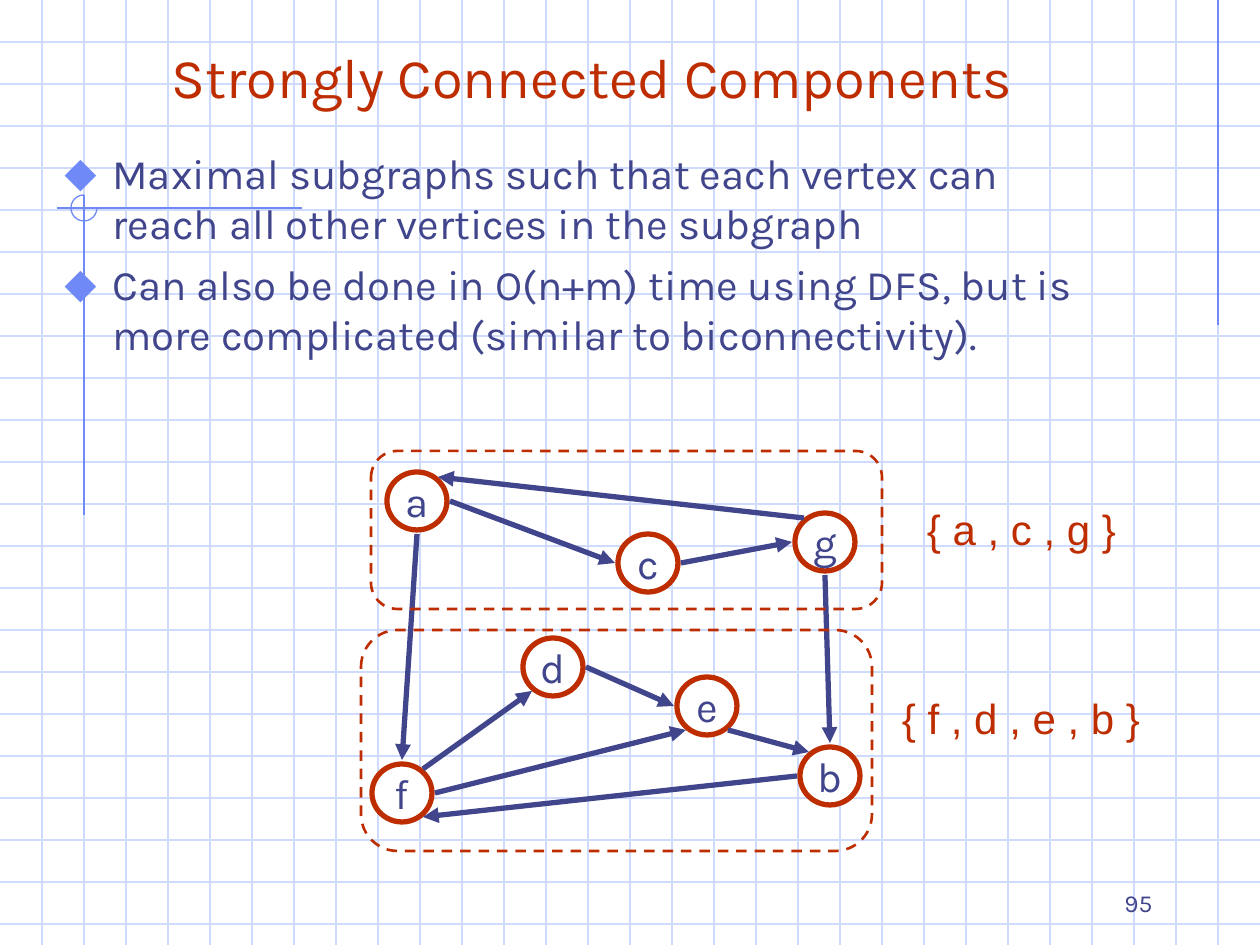
from pptx import Presentation
from pptx.dml.color import RGBColor
from pptx.enum.dml import MSO_LINE
from pptx.enum.shapes import MSO_CONNECTOR, MSO_SHAPE
from pptx.enum.text import MSO_ANCHOR, MSO_AUTO_SIZE, PP_ALIGN
from pptx.oxml.ns import qn
from pptx.util import Pt
from lxml.etree import SubElement

PX = 914400 // 126
WIDTH, HEIGHT, GRID_STEP = 1260, 945, 42
INK, RED, BLUE, PALE, WHITE = "40458C", "BE2D00", "6F89F7", "CFDBFD", "FFFFFF"

TITLE = "Strongly Connected Components"
BULLETS = [
    "Maximal subgraphs such that each vertex can reach all other vertices in the subgraph",
    "Can also be done in O(n+m) time using DFS, but is more complicated "
    "(similar to biconnectivity).",
]
COMPONENTS = [  # label, label box, dashed frame
    ("{ a , c , g }", (927, 504, 194, 50), (371, 451, 511, 158)),
    ("{ f , d , e , b }", (902, 693, 244, 50), (361, 630, 511, 221)),
]
VERTEX_SIZE = (60, 58)
VERTICES = {  # centres
    "a": (417, 501), "d": (553, 667), "c": (648, 563), "b": (830, 776),
    "e": (707, 706), "f": (402, 793), "g": (825, 542),
}
SITES = {  # where an edge meets a vertex, from its centre
    "N": (0, -33), "S": (0, 33), "E": (33, 0), "W": (-33, 0),
    "NE": (21, -24), "SE": (21, 24), "NW": (-21, -24), "SW": (-21, 24),
}
EDGES = [
    ("a", "S", "f", "N"), ("a", "E", "c", "W"), ("g", "NW", "a", "NE"),
    ("c", "E", "g", "W"), ("g", "S", "b", "N"), ("d", "E", "e", "W"),
    ("e", "SE", "b", "NW"), ("f", "NE", "d", "SW"), ("f", "E", "e", "SW"),
    ("b", "W", "f", "SE"),
]
ORNAMENT_LINES = [
    ((1218, 0), (1218, 325)), ((302, 208), (57, 208)), ((84, 195), (84, 515)),
]


def color(value):
    return RGBColor.from_string(value)


def emu(lengths):
    return [length * PX for length in lengths]


def add_line(page, start, end, line_color, width, arrow=False):
    line = page.shapes.add_connector(MSO_CONNECTOR.STRAIGHT, *emu(start + end))
    line.line.color.rgb = color(line_color)
    line.line.width = Pt(width)
    properties = line.element.spPr
    if arrow:
        SubElement(properties.find(qn("a:ln")), qn("a:tailEnd"), type="triangle")
    SubElement(properties, qn("a:effectLst"))


def add_outline(page, kind, place, line_color, width, fill=None):
    shape = page.shapes.add_shape(kind, *emu(place))
    shape.shadow.inherit = False
    shape.line.color.rgb = color(line_color)
    shape.line.width = Pt(width)
    if fill:
        shape.fill.solid()
        shape.fill.fore_color.rgb = color(fill)
    else:
        shape.fill.background()
    return shape


def write(para, text, size, text_color, font="Karla", align=PP_ALIGN.LEFT):
    para.alignment = align
    span = para.add_run()
    span.text = text
    span.font.size = Pt(size)
    span.font.name = font
    span.font.color.rgb = color(text_color)


def add_box(page, place):
    frame = page.shapes.add_textbox(*emu(place)).text_frame
    frame.word_wrap = True
    return frame


def add_diamond_bullet(para):
    properties = para._p.get_or_add_pPr()
    properties.set("marL", str(48 * PX))
    properties.set("indent", str(-48 * PX))
    tint = SubElement(properties, qn("a:buClr"))
    SubElement(tint, qn("a:srgbClr"), val=BLUE)
    SubElement(properties, qn("a:buSzPct"), val="110000")
    SubElement(properties, qn("a:buFont"), typeface="Arial")
    SubElement(properties, qn("a:buChar"), char="⬥")


def add_background(page):
    for y in range(GRID_STEP, HEIGHT, GRID_STEP):
        add_line(page, (0, y), (WIDTH, y), PALE, 0.75)
    for x in range(GRID_STEP, WIDTH, GRID_STEP):
        add_line(page, (x, 0), (x, HEIGHT), PALE, 0.75)
    for start, end in ORNAMENT_LINES:
        add_line(page, start, end, BLUE, 0.75)
    ring = add_outline(page, MSO_SHAPE.ARC, (71, 195, 26, 26), BLUE, 0.75)
    ring.adjustments[0] = 0
    ring.adjustments[1] = 162  # 270 degrees in units of 1/0.6


def add_words(page):
    body = add_box(page, (52, 141, 1072, 331))
    for index, text in enumerate(BULLETS):
        para = body.add_paragraph() if index else body.paragraphs[0]
        add_diamond_bullet(para)
        para.space_before = Pt(6 if index else 0)
        write(para, text, 24, INK)

    title = page.shapes.title
    title.left, title.top, title.width, title.height = emu((83, 21, 1019, 95))
    title.element.getparent().append(title.element)  # in front of the grid
    frame = title.text_frame
    frame.auto_size = MSO_AUTO_SIZE.NONE
    frame.vertical_anchor = MSO_ANCHOR.BOTTOM
    write(frame.paragraphs[0], TITLE, 32, RED, align=PP_ALIGN.CENTER)

    number = add_box(page, (903, 861, 262, 63))
    number.vertical_anchor = MSO_ANCHOR.BOTTOM
    write(number.paragraphs[0], "95", 14, INK, align=PP_ALIGN.RIGHT)


def add_graph(page):
    width, height = VERTEX_SIZE
    for name, (x, y) in VERTICES.items():
        place = (x - width // 2, y - height // 2, width, height)
        vertex = add_outline(page, MSO_SHAPE.OVAL, place, RED, 3, WHITE)
        frame = vertex.text_frame
        frame.word_wrap = False
        frame.vertical_anchor = MSO_ANCHOR.MIDDLE
        write(frame.paragraphs[0], name, 24, INK, align=PP_ALIGN.CENTER)

    def site(name, side):
        return tuple(map(sum, zip(VERTICES[name], SITES[side])))

    for source, source_side, target, target_side in EDGES:
        add_line(page, site(source, source_side), site(target, target_side), INK, 3, True)

    for label, label_place, frame_place in COMPONENTS:
        outline = add_outline(page, MSO_SHAPE.ROUNDED_RECTANGLE, frame_place, RED, 1.5)
        outline.line.dash_style = MSO_LINE.DASH
        frame = add_box(page, label_place)
        frame.word_wrap = False
        frame.auto_size = MSO_AUTO_SIZE.SHAPE_TO_FIT_TEXT
        frame.margin_left = frame.margin_top = frame.margin_right = frame.margin_bottom = 0
        write(frame.paragraphs[0], label, 24, RED, "Arial")


def main():
    deck = Presentation()
    deck.slide_width, deck.slide_height = emu((WIDTH, HEIGHT))
    page = deck.slides.add_slide(deck.slide_layouts[5])
    add_background(page)
    add_words(page)
    add_graph(page)
    deck.save("out.pptx")


if __name__ == "__main__":
    main()
